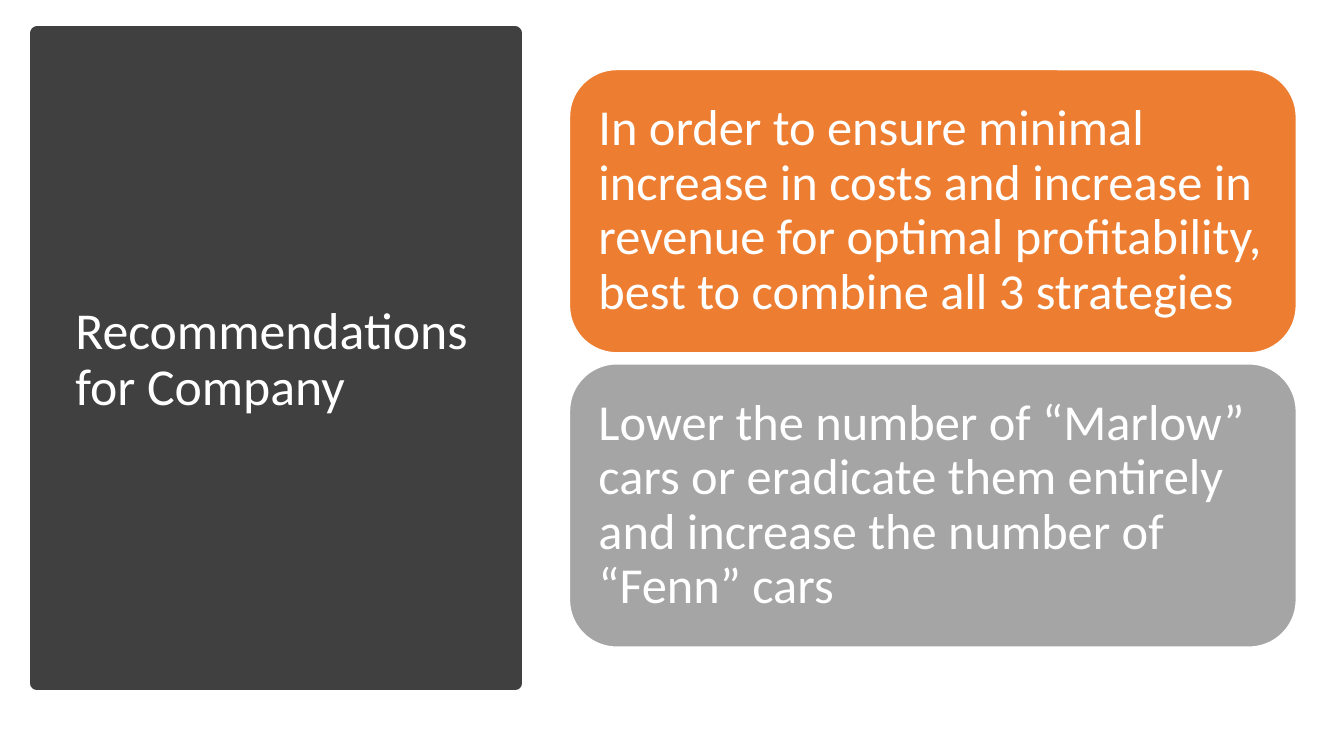
"""Build the recommendations slide: a dark title panel beside two stacked cards."""
from dataclasses import dataclass

import pptx
import pptx.dml.color
import pptx.enum.shapes
import pptx.enum.text
import pptx.shapes.autoshape
import pptx.slide
import pptx.util

Pt = pptx.util.Pt
Preset = pptx.enum.shapes.MSO_SHAPE

WHITE = "FFFFFF"
CHARCOAL = "404040"
CARD_LEFT, CARD_TOP = 406.8, 49.7
CARD_WIDTH, CARD_HEIGHT, CARD_GAP = 519.1, 202.3, 7.9


@dataclass(frozen=True)
class Card:
    """A coloured recommendation."""

    fill: str
    text: str


CARDS = [
    Card("ED7D31", "In order to ensure minimal increase in costs and increase in "
                   "revenue for optimal profitability, best to combine all 3 strategies"),
    Card("A5A5A5", "Lower the number of “Marlow” cars or eradicate them entirely "
                   "and increase the number of “Fenn” cars"),
]


def color(code: str) -> pptx.dml.color.RGBColor:
    """Turn a hex string into a colour."""
    return pptx.dml.color.RGBColor.from_string(code)


def add_block(page: pptx.slide.Slide, preset: Preset, left: float, top: float, width: float,
              height: float, fill: str, line: str, weight: float) -> pptx.shapes.autoshape.Shape:
    """Draw a filled, outlined shape without a shadow."""
    block = page.shapes.add_shape(preset, Pt(left), Pt(top), Pt(width), Pt(height))
    block.shadow.inherit = False
    block.fill.solid()
    block.fill.fore_color.rgb = color(fill)
    block.line.color.rgb = color(line)
    block.line.width = Pt(weight)
    return block


def write(box: pptx.shapes.autoshape.Shape, text: str, size: float, inset: float) -> None:
    """Set white, left-aligned, vertically centred text in a box."""
    frame = box.text_frame
    para = frame.paragraphs[0]
    span = para.add_run()
    span.text = text
    margins = {f"margin_{side}": Pt(inset) for side in ("left", "top", "right", "bottom")}
    formats = [
        (frame, {"word_wrap": True,
                 "vertical_anchor": pptx.enum.text.MSO_ANCHOR.MIDDLE, **margins}),
        (para, {"alignment": pptx.enum.text.PP_ALIGN.LEFT, "line_spacing": 0.9}),
        (span.font, {"name": "Calibri", "size": Pt(size)}),
    ]
    for target, values in formats:
        for name, value in values.items():
            setattr(target, name, value)
    span.font.color.rgb = color(WHITE)


def main() -> None:
    """Create the deck and save it."""
    deck = pptx.Presentation()
    deck.slide_width, deck.slide_height = Pt(960), Pt(540)
    page = deck.slides.add_slide(deck.slide_layouts[6])

    add_block(page, Preset.RECTANGLE, 26.6, 23.8, 341.3, 464.4, CHARCOAL, CHARCOAL, 10)
    title = page.shapes.add_textbox(Pt(46.8), Pt(50.4), Pt(299.5), Pt(414))
    write(title, "Recommendations for Company", 37, 7.2)

    for index, card in enumerate(CARDS):
        top = CARD_TOP + index * (CARD_HEIGHT + CARD_GAP)
        block = add_block(page, Preset.ROUNDED_RECTANGLE, CARD_LEFT, top,
                          CARD_WIDTH, CARD_HEIGHT, card.fill, WHITE, 1)
        write(block, card.text, 36, 10.8)

    deck.save("out.pptx")


if __name__ == "__main__":
    main()
